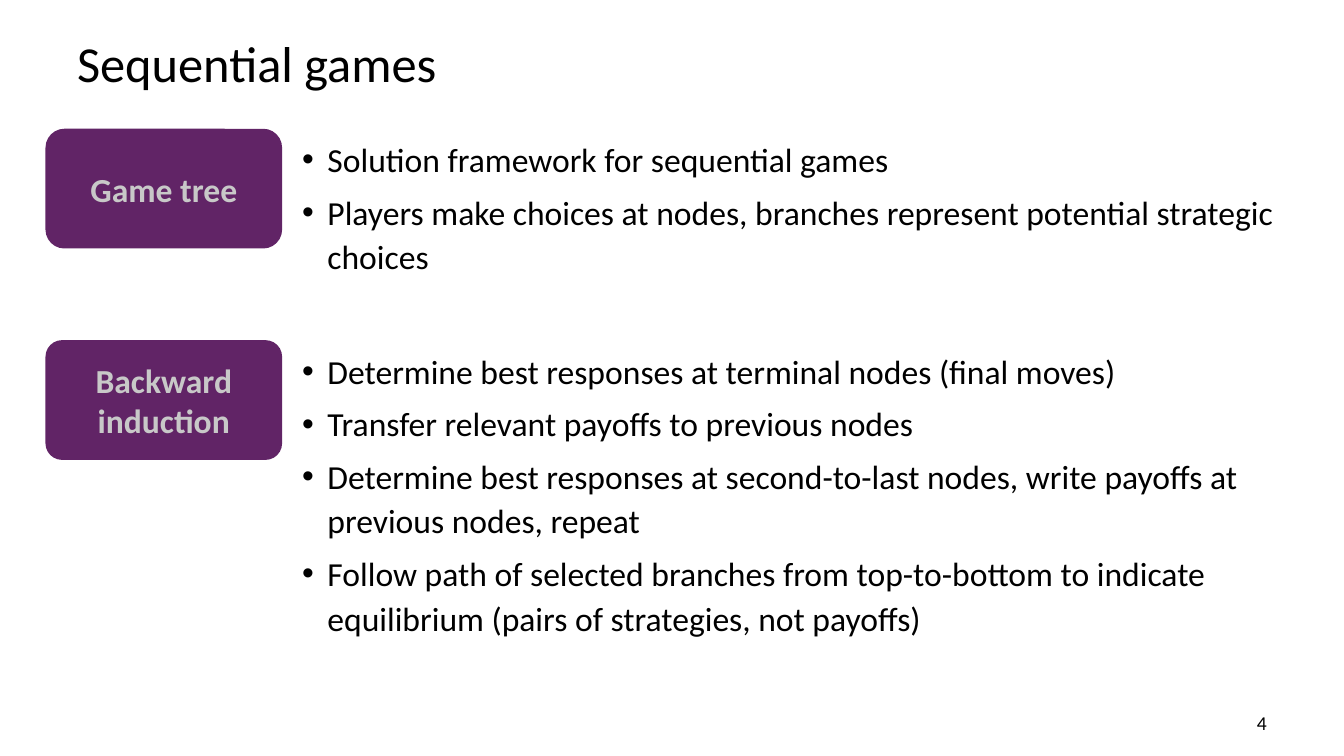
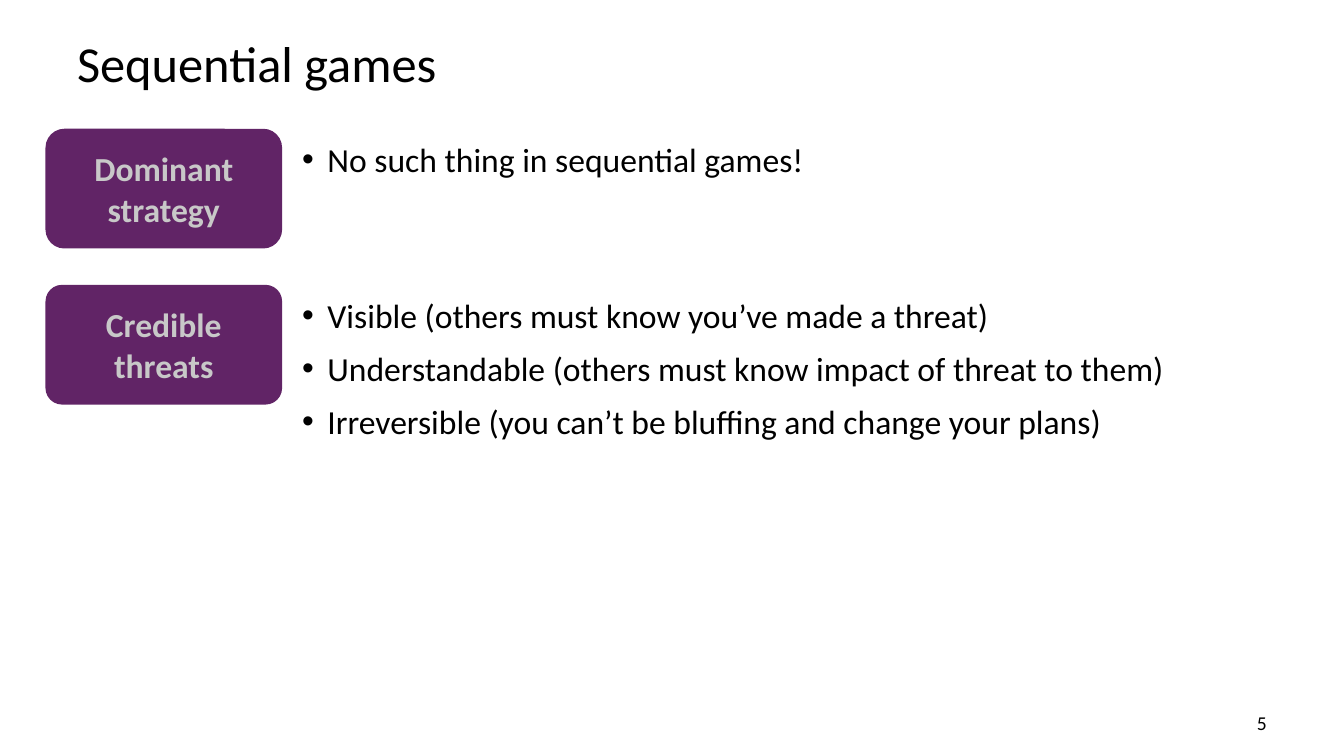
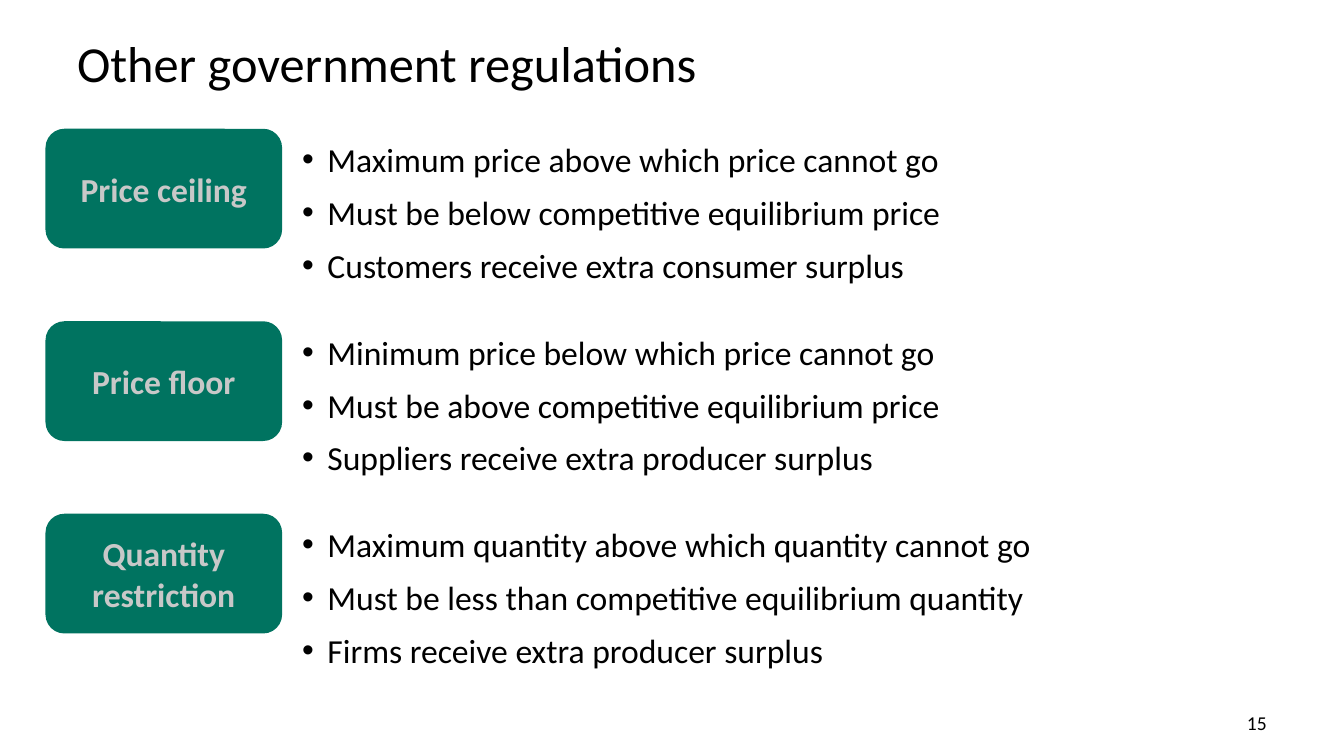
from dataclasses import dataclass

from lxml import etree
from pptx import Presentation
from pptx.dml.color import RGBColor
from pptx.enum.shapes import MSO_SHAPE
from pptx.enum.text import MSO_ANCHOR, PP_ALIGN
from pptx.oxml.ns import qn
from pptx.util import Pt

ROUNDED = MSO_SHAPE.ROUNDED_RECTANGLE
TOP, MIDDLE = MSO_ANCHOR.TOP, MSO_ANCHOR.MIDDLE
LEFT, CENTER, RIGHT = PP_ALIGN.LEFT, PP_ALIGN.CENTER, PP_ALIGN.RIGHT

COLORS = {
    "text": "000000",
    "label_text": "C8C8C8",
    "games": "612466",
    "regulations": "007360",
}
FONT = "Calibri"
SLIDE_WIDTH, SLIDE_HEIGHT = 960, 540
TITLE_BOX = (48, 18.7, 864, 51)
NUMBER_BOX = (688, 504, 224, 24.5)
SECTION_LEFT, SECTION_WIDTH = 33.5, 889.5
LABEL_WIDTH, LABEL_HEIGHT = 167, 83.5
BULLETS_OFFSET = 175.3
BULLET_INDENT = 18
LINE_HEIGHT, BULLET_GAP = 32, 6
FIRST_TOP = 93
REGULATION_PITCH = 137.5


@dataclass
class Section:
    label: str
    top: float
    line_count: int
    bullets: list
    corner: float = 0.15
    side_inset: float = 0


SLIDES = [
    ("Sequential games", 4, "games", [
        Section("Game tree", FIRST_TOP, 3, [
            "Solution framework for sequential games",
            "Players make choices at nodes, branches represent potential strategic choices",
        ]),
        Section("Backward induction", 244, 6, [
            "Determine best responses at terminal nodes (final moves)",
            "Transfer relevant payoffs to previous nodes",
            "Determine best responses at second-to-last nodes, write payoffs at previous nodes, repeat",
            "Follow path of selected branches from top-to-bottom to indicate equilibrium "
            "(pairs of strategies, not payoffs)",
        ], corner=0.13, side_inset=7.2),
    ]),
    ("Sequential games", 5, "games", [
        Section("Dominant strategy", FIRST_TOP, 1, [
            "No such thing in sequential games!",
        ]),
        Section("Credible threats", 204.5, 3, [
            "Visible (others must know you’ve made a threat)",
            "Understandable (others must know impact of threat to them)",
            "Irreversible (you can’t be bluffing and change your plans)",
        ], corner=0.13, side_inset=7.2),
    ]),
    ("Other government regulations", 15, "regulations", [
        Section("Price ceiling", FIRST_TOP, 3, [
            "Maximum price above which price cannot go",
            "Must be below competitive equilibrium price",
            "Customers receive extra consumer surplus",
        ]),
        Section("Price floor", FIRST_TOP + REGULATION_PITCH, 3, [
            "Minimum price below which price cannot go",
            "Must be above competitive equilibrium price",
            "Suppliers receive extra producer surplus",
        ]),
        Section("Quantity restriction", FIRST_TOP + 2 * REGULATION_PITCH, 3, [
            "Maximum quantity above which quantity cannot go",
            "Must be less than competitive equilibrium quantity",
            "Firms receive extra producer surplus",
        ]),
    ]),
]


def rgb(name):
    return RGBColor.from_string(COLORS[name])


def points(box):
    return [Pt(length) for length in box]


def add_bullet(paragraph):
    properties = paragraph._p.get_or_add_pPr()
    properties.set("marL", str(Pt(BULLET_INDENT)))
    properties.set("indent", str(-Pt(BULLET_INDENT)))
    etree.SubElement(properties, qn("a:buFont"), typeface="Arial")
    etree.SubElement(properties, qn("a:buChar"), char="•")


def write_text(shape, lines, size=24, color="text", bold=False, align=LEFT,
               anchor=TOP, side_inset=7.2, bulleted=False):
    """Fill a shape with one paragraph for each line."""
    frame = shape.text_frame
    frame.word_wrap = True
    frame.vertical_anchor = anchor
    frame.margin_left = frame.margin_right = Pt(side_inset)
    for index, line in enumerate(lines):
        paragraph = frame.add_paragraph() if index else frame.paragraphs[0]
        paragraph.alignment = align
        if bulleted:
            add_bullet(paragraph)
            paragraph.line_spacing = 1.1
            paragraph.space_after = Pt(BULLET_GAP)
        run = paragraph.add_run()
        run.text = line
        run.font.name = FONT
        run.font.size = Pt(size)
        run.font.bold = bold
        run.font.color.rgb = rgb(color)


def add_text(slide, box, lines, **text_format):
    write_text(slide.shapes.add_textbox(*points(box)), lines, **text_format)


def add_label(slide, box, section, color):
    label = slide.shapes.add_shape(ROUNDED, *points(box))
    label.adjustments[0] = section.corner
    label.shadow.inherit = False
    label.fill.solid()
    label.fill.fore_color.rgb = rgb(color)
    label.line.color.rgb = rgb(color)
    label.line.width = Pt(2)
    write_text(label, [section.label], color="label_text", bold=True, align=CENTER,
               anchor=MIDDLE, side_inset=section.side_inset)


def add_section(slide, box, section, color):
    """Place a coloured label with its bullets to the right."""
    left, top, width, height = box
    add_label(slide, (left, top, LABEL_WIDTH, LABEL_HEIGHT), section, color)
    bullets_box = (left + BULLETS_OFFSET, top, width - BULLETS_OFFSET, height)
    add_text(slide, bullets_box, section.bullets, bulleted=True)


def add_sections_slide(presentation, title, number, color, sections):
    slide = presentation.slides.add_slide(presentation.slide_layouts[6])
    add_text(slide, TITLE_BOX, [title], size=36, anchor=MIDDLE)
    for section in sections:
        height = section.line_count * LINE_HEIGHT + len(section.bullets) * BULLET_GAP
        add_section(slide, (SECTION_LEFT, section.top, SECTION_WIDTH, height), section, color)
    add_text(slide, NUMBER_BOX, [str(number)], size=14, align=RIGHT)


def main():
    presentation = Presentation()
    presentation.slide_width = Pt(SLIDE_WIDTH)
    presentation.slide_height = Pt(SLIDE_HEIGHT)
    for title, number, color, sections in SLIDES:
        add_sections_slide(presentation, title, number, color, sections)
    presentation.save("out.pptx")


if __name__ == "__main__":
    main()
